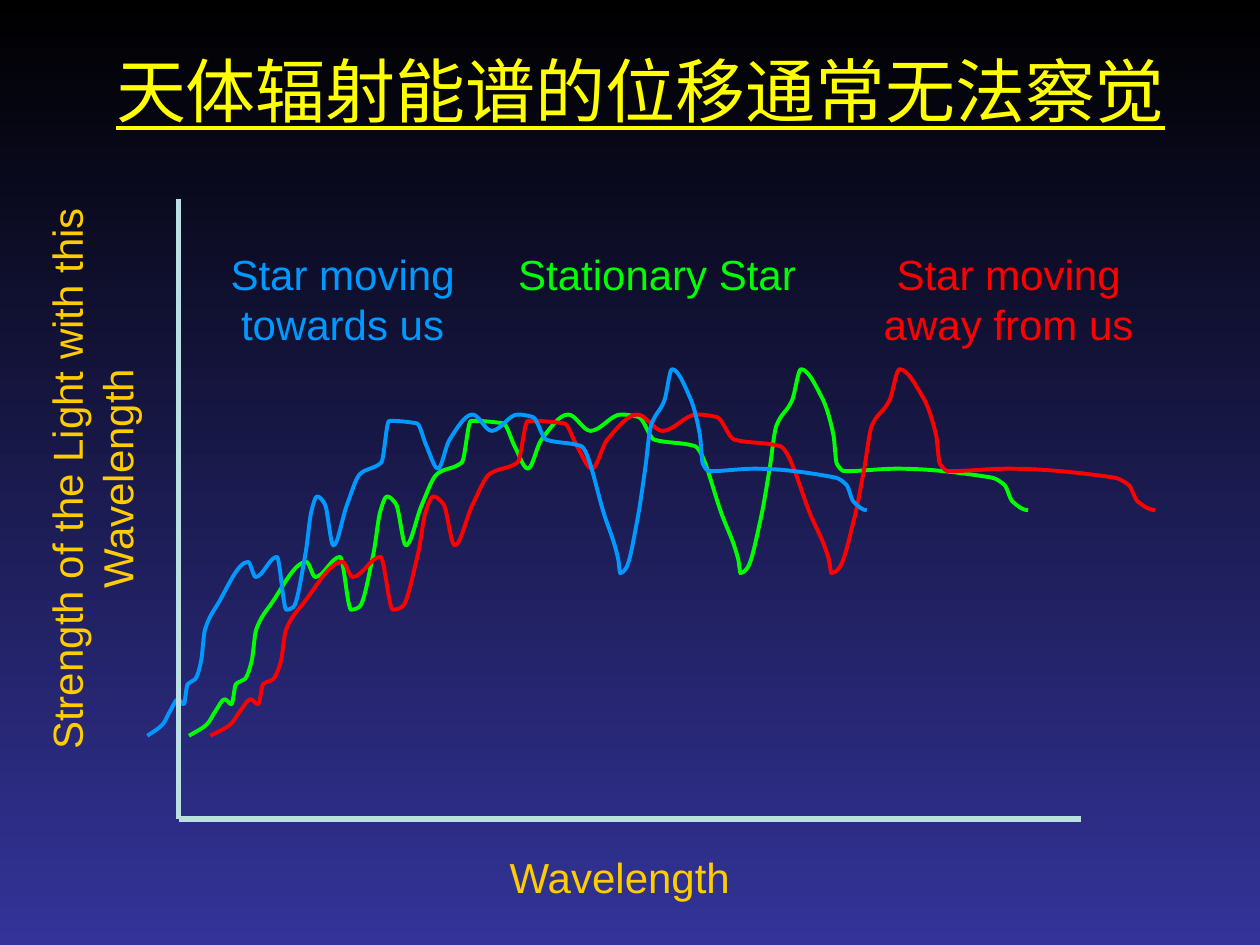
from lxml import etree
from pptx import Presentation
from pptx.dml.color import RGBColor
from pptx.enum import shapes, text
from pptx.oxml.ns import qn
from pptx.util import Pt

HUES = {"black": "000000", "navy": "333399", "axis": "BBE0E3", "gold": "FFCC00",
        "yellow": "FFFF00", "green": "00FF00", "red": "FF0000", "blue": "0099FF"}

# Words, left, top, width, height, hue, wrap, turn
LABELS = [
    ("Wavelength", 283.7, 483.1, 141, 36, "gold", False, 0),
    ("Stationary Star", 288.7, 138.2, 173.5, 36, "green", False, 0),
    ("Star moving away from us", 486, 138.2, 180.7, 64.8, "red", True, 0),
    ("Star moving towards us", 102.2, 138.2, 187.2, 64.8, "blue", True, 0),
    ("Strength of the Light with this Wavelength",
     -115.9, 241.2, 336.2, 64.8, "gold", True, 270),
]
TITLE = ("天体辐射能谱的位移通常无法察觉", 30, 24, 672, 54, "yellow", True, 0)

# Hue, left, width of each shifted spectrum
STARS = [("green", 108, 479.5), ("red", 120.2, 540), ("blue", 84.2, 411.1)]
AXES = [(102.2, 468, 617.8, 468), (102.2, 468, 102.2, 113.8)]

# Turning points of the spectrum, in hundredths of an inch
WAVE = [
    (167, 584), (183, 575), (191, 564), (199, 555), (205, 559), (209, 543),
    (217, 539), (223, 525), (227, 500), (240, 480), (272, 446), (280, 458),
    (302, 442), (312, 484), (319, 482), (332, 439), (338, 406), (344, 394),
    (352, 400), (361, 433), (375, 401), (389, 376), (411, 367), (419, 334),
    (448, 336), (458, 354), (470, 372), (482, 349), (506, 329), (526, 342),
    (553, 329), (569, 331), (583, 349), (619, 354), (644, 410), (658, 444),
    (660, 455), (666, 451), (678, 412), (686, 372), (692, 338), (706, 318),
    (714, 293), (733, 316), (743, 345), (746, 368), (753, 374), (800, 372),
    (884, 379), (896, 385), (903, 398), (917, 405),
]
SPAN = WAVE[-1][0] - WAVE[0][0]

deck = Presentation()
deck.slide_width, deck.slide_height = Pt(720), Pt(540)
slide = deck.slides.add_slide(deck.slide_layouts[6])


def tint(name):
    return RGBColor.from_string(HUES[name])


def write(label, size=24, face="Arial", line=None):
    words, x, y, w, h, hue, wrap, turn = label
    box = slide.shapes.add_textbox(Pt(x), Pt(y), Pt(w), Pt(h))
    box.rotation = turn
    frame = box.text_frame
    frame.word_wrap = wrap
    frame.vertical_anchor = text.MSO_ANCHOR.MIDDLE
    para = frame.paragraphs[0]
    para.text = words
    para.alignment = text.PP_ALIGN.CENTER
    font = para.font
    font.size, font.name, font.underline = Pt(size), face, line
    font.color.rgb = tint(hue)


def bends(dots):
    """Two handles and an end for each step, level at peaks and dips."""
    steps = list(zip(dots, dots[1:]))
    rise = [(q[1] - p[1]) / (q[0] - p[0]) for p, q in steps]
    tilt = [2 * a * b / (a + b) if a * b > 0 else 0 for a, b in zip(rise, rise[1:])]
    tilt = [rise[0], *tilt, 0]
    for (p, q), a, b in zip(steps, tilt, tilt[1:]):
        run = (q[0] - p[0]) / 3
        yield from ((p[0] + run, p[1] + a * run), (q[0] - run, q[1] - b * run), q)


def trace(hue, left, width):
    def place(x, y):
        return Pt(left + (x - WAVE[0][0]) / SPAN * width), Pt(y * 0.72)

    pen = slide.shapes.build_freeform(*place(*WAVE[0]))
    pen.add_line_segments([place(*dot) for dot in bends(WAVE)], close=False)
    curve = pen.convert_to_shape()
    curve.shadow.inherit = False
    curve.fill.background()
    curve.line.color.rgb = tint(hue)
    curve.line.width = Pt(2.25)
    # Join each three straight steps into one Bezier curve
    route = curve._element.spPr.find(".//" + qn("a:path"))
    steps = route.findall(qn("a:lnTo"))
    for i in range(0, len(steps), 3):
        bend = etree.SubElement(route, qn("a:cubicBezTo"))
        for step in steps[i:i + 3]:
            bend.append(step[0])
            route.remove(step)


# Background
fill = slide.background.fill
fill.gradient()
fill.gradient_angle = 270
for stop, hue, pos in zip(fill.gradient_stops, ("black", "navy"), (0, 1)):
    stop.color.rgb = tint(hue)
    stop.position = pos

# Spectra
for star in STARS:
    trace(*star)

# Axes
for ends in AXES:
    axis = slide.shapes.add_connector(shapes.MSO_CONNECTOR.STRAIGHT, *map(Pt, ends))
    axis.line.color.rgb = tint("axis")
    axis.line.width = Pt(3)
    etree.SubElement(axis._element.spPr, qn("a:effectLst"))

# Title and labels
write(TITLE, 40, "Arial Narrow", True)
for label in LABELS:
    write(label)

deck.save("out.pptx")
